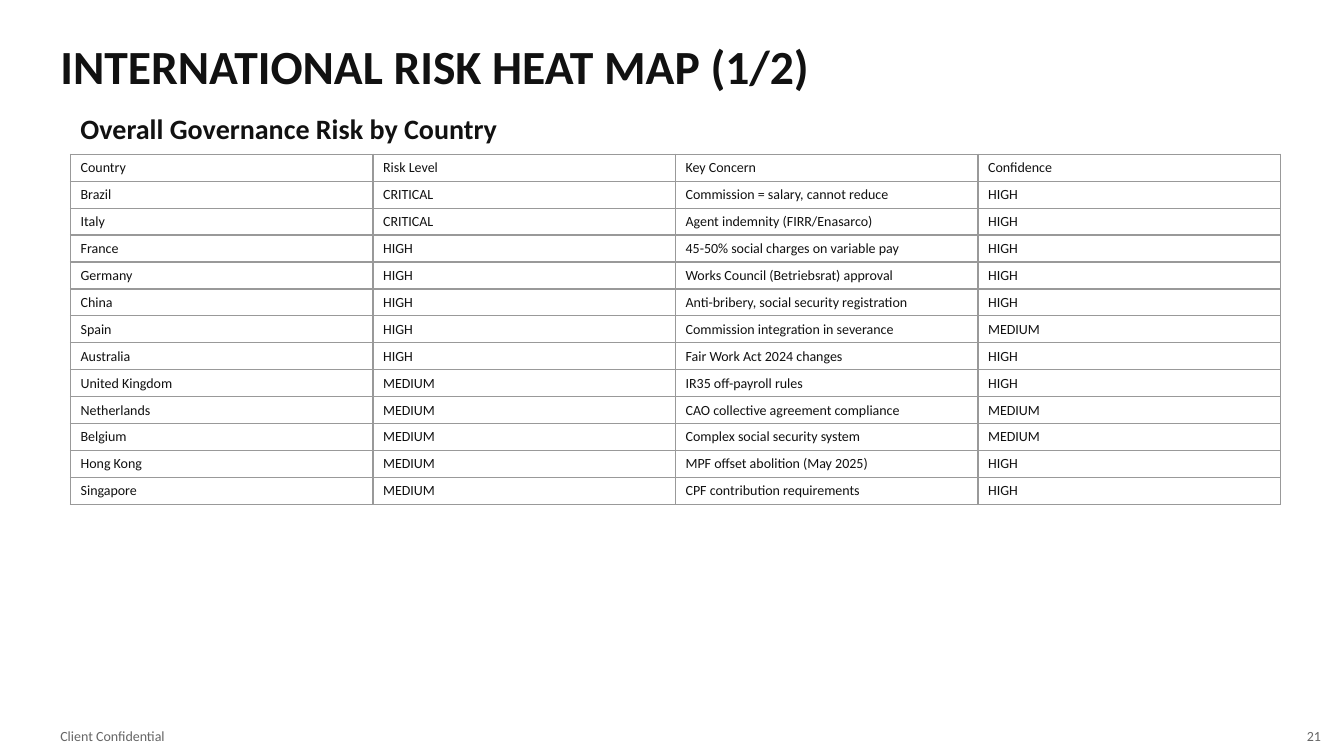
from lxml.etree import SubElement
from pptx import Presentation
from pptx.dml.color import RGBColor
from pptx.enum.text import MSO_ANCHOR as Anchor, PP_ALIGN as Align
from pptx.oxml.ns import qn
from pptx.util import Pt

PX = 9144  # EMU per px, 100 px to the inch
FONT = "Calibri"
INK, MUTED, RULE, PAPER = "111111", "666666", "999999", "FFFFFF"
COLUMN_WIDTH, ROW_HEIGHT = 300, 20

RISKS = [
    ("Country", "Risk Level", "Key Concern", "Confidence"),
    ("Brazil", "CRITICAL", "Commission = salary, cannot reduce", "HIGH"),
    ("Italy", "CRITICAL", "Agent indemnity (FIRR/Enasarco)", "HIGH"),
    ("France", "HIGH", "45-50% social charges on variable pay", "HIGH"),
    ("Germany", "HIGH", "Works Council (Betriebsrat) approval", "HIGH"),
    ("China", "HIGH", "Anti-bribery, social security registration", "HIGH"),
    ("Spain", "HIGH", "Commission integration in severance", "MEDIUM"),
    ("Australia", "HIGH", "Fair Work Act 2024 changes", "HIGH"),
    ("United Kingdom", "MEDIUM", "IR35 off-payroll rules", "HIGH"),
    ("Netherlands", "MEDIUM", "CAO collective agreement compliance", "MEDIUM"),
    ("Belgium", "MEDIUM", "Complex social security system", "MEDIUM"),
    ("Hong Kong", "MEDIUM", "MPF offset abolition (May 2025)", "HIGH"),
    ("Singapore", "MEDIUM", "CPF contribution requirements", "HIGH"),
]


def px(*lengths):
    return [length * PX for length in lengths]


def rgb(color):
    return RGBColor.from_string(color)


def write(frame, text, size, color=INK, bold=False, align=Align.LEFT):
    frame.text = text
    frame.word_wrap = True
    paragraph = frame.paragraphs[0]
    paragraph.alignment = align
    font = paragraph.runs[0].font
    font.name, font.size, font.bold = FONT, Pt(size), bold
    font.color.rgb = rgb(color)


def add_title(slide, box, text):
    title = slide.shapes.title
    title.left, title.top, title.width, title.height = px(*box)
    write(title.text_frame, text, 34, bold=True)
    title.text_frame.vertical_anchor = Anchor.MIDDLE


def add_label(slide, box, text, size, **style):
    frame = slide.shapes.add_textbox(*px(*box)).text_frame
    write(frame, text, size, **style)
    frame.vertical_anchor = Anchor.MIDDLE


def outline(cell):
    """Rule all four sides; the borders must precede the cell's fill."""
    properties = cell._tc.get_or_add_tcPr()
    for side in ("a:lnL", "a:lnR", "a:lnT", "a:lnB"):
        border = SubElement(properties, qn(side), w=str(Pt(1)))
        fill = SubElement(border, qn("a:solidFill"))
        SubElement(fill, qn("a:srgbClr"), val=RULE)


def add_risk_table(slide, left, top, rows):
    size = px(COLUMN_WIDTH * len(rows[0]), ROW_HEIGHT * len(rows))
    table = slide.shapes.add_table(len(rows), len(rows[0]), *px(left, top), *size).table
    table.first_row = table.horz_banding = False
    for r, row in enumerate(rows):
        for c, text in enumerate(row):
            cell = table.cell(r, c)
            write(cell.text_frame, text, 10)
            outline(cell)
            cell.fill.solid()
            cell.fill.fore_color.rgb = rgb(PAPER)


def main():
    deck = Presentation()
    deck.slide_width, deck.slide_height = px(1333, 750)
    slide = deck.slides.add_slide(deck.slide_layouts[5])
    add_title(slide, (50, 30, 1250, 70), "INTERNATIONAL RISK HEAT MAP (1/2)")
    add_label(slide, (50, 718, 600, 25), "Client Confidential", 10, color=MUTED)
    add_label(slide, (1260, 718, 60, 25), "21", 10, color=MUTED, align=Align.RIGHT)
    add_label(slide, (70, 110, 1200, 35), "Overall Governance Risk by Country", 20, bold=True)
    add_risk_table(slide, 70, 153, RISKS)
    deck.save("out.pptx")


if __name__ == "__main__":
    main()
